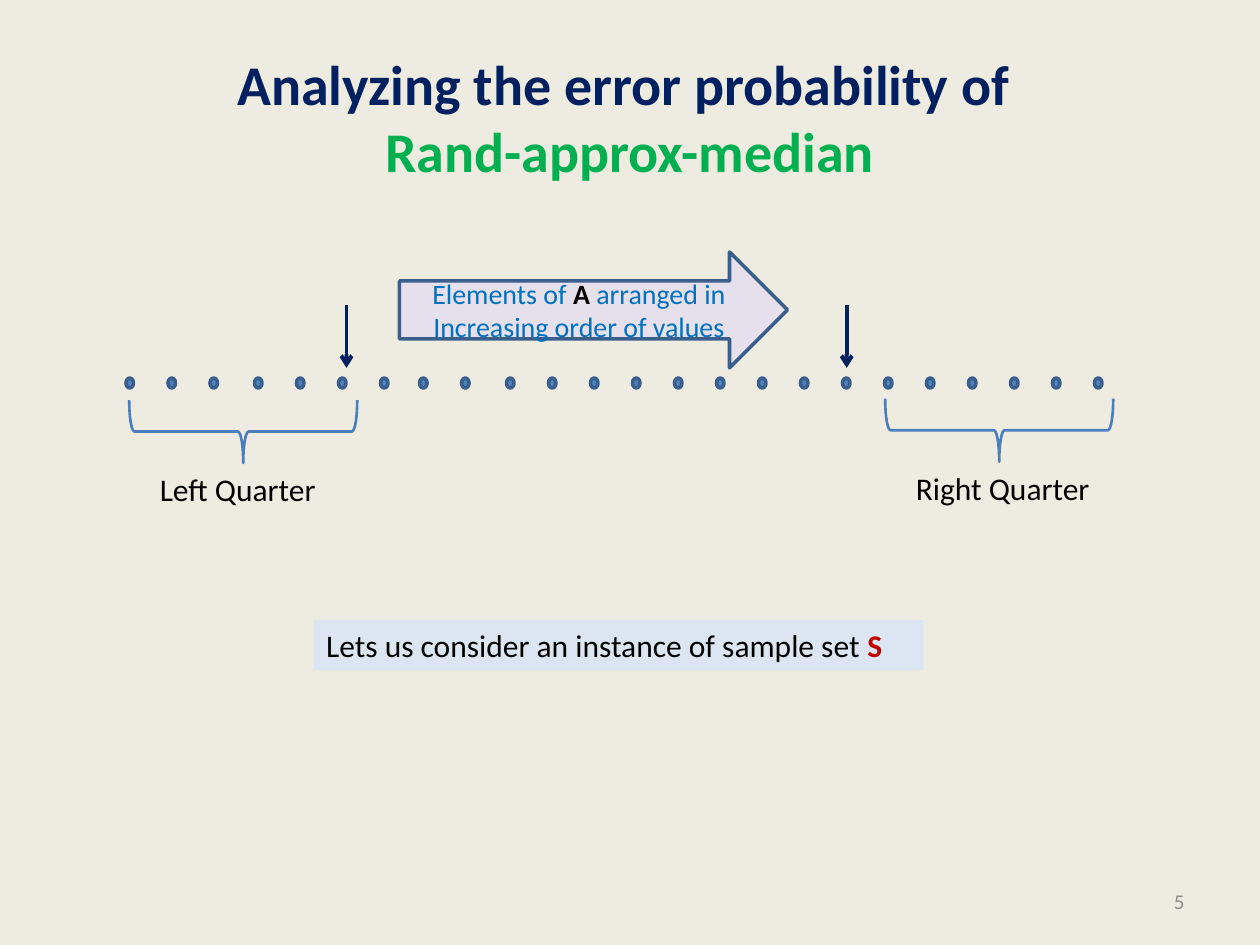
from dataclasses import dataclass
from typing import Any

from lxml import etree
from pptx import Presentation
from pptx import util as u
from pptx.dml.color import RGBColor
from pptx.enum import shapes, text
from pptx.oxml import ns

SHAPE = shapes.MSO_SHAPE
ALIGN = text.PP_ALIGN
MIDDLE = text.MSO_ANCHOR.MIDDLE


def colour(value):
    return RGBColor.from_string(value)


def inches(*values):
    return [u.Inches(value) for value in values]


@dataclass
class Painter:
    """Draws styled elements on the current slide."""

    page: Any
    font: str = "Calibri"
    ink: str = "000000"
    navy: str = "002060"
    blue: str = "4F81BD"
    outline: str = "3A5F8C"

    def background(self, fill):
        self.page.background.fill.solid()
        self.page.background.fill.fore_color.rgb = colour(fill)

    def add_text(self, box, lines, size, align=ALIGN.LEFT, anchor=text.MSO_ANCHOR.TOP, wrap=True):
        frame = box.text_frame
        frame.word_wrap = wrap
        frame.vertical_anchor = anchor
        para = frame.paragraphs[0]
        para.alignment = align
        for number, line in enumerate(lines):
            if number:
                para.add_line_break()
            for words, tint, bold in line:
                span = para.add_run()
                span.text = words
                span.font.name = self.font
                span.font.size = u.Pt(size)
                span.font.bold = bold
                span.font.color.rgb = colour(tint)

    def label(self, at, lines, size, **layout):
        box = self.page.shapes.add_textbox(*inches(*at))
        self.add_text(box, lines, size, **layout)

    def shape(self, kind, at, fill=None, line=None, width=2):
        box = self.page.shapes.add_shape(kind, *inches(*at))
        box.shadow.inherit = False
        if fill:
            box.fill.solid()
            box.fill.fore_color.rgb = colour(fill)
        else:
            box.fill.background()
        if line:
            box.line.color.rgb = colour(line)
            box.line.width = u.Pt(width)
        else:
            box.line.fill.background()
        return box

    def dot(self, left, top):
        self.shape(SHAPE.OVAL, (left, top, 0.06, 0.08), self.blue, self.outline)

    def pointer(self, x, top, bottom):
        arrow = self.page.shapes.add_connector(
            shapes.MSO_CONNECTOR.STRAIGHT, *inches(x, top, x, bottom))
        arrow.line.color.rgb = colour(self.navy)
        arrow.line.width = u.Pt(2.25)
        properties = arrow._element.spPr
        etree.SubElement(properties.find(ns.qn("a:ln")), ns.qn("a:tailEnd"), type="arrow")
        etree.SubElement(properties, ns.qn("a:effectLst"))

    def quarter(self, left, top, width, words):
        brace = self.shape(SHAPE.RIGHT_BRACE, (left + 0.51, top - 1.16, 0.5, 1.81),
                           line="4B7EBC", width=1.5)
        brace.rotation = 90
        self.label((left, top, width, 0.4), [[(words, self.ink, False)]], 18, wrap=False)


def main():
    deck = Presentation()
    deck.slide_width, deck.slide_height = inches(10, 7.5)
    painter = Painter(deck.slides.add_slide(deck.slide_layouts[6]))
    painter.background("EEECE1")

    painter.label((0.5, 0.3, 9, 1.25), [
        [("Analyzing the error probability of ", painter.navy, True)],
        [("Rand-approx-median", "00B050", True)],
    ], 32, align=ALIGN.CENTER, anchor=MIDDLE)
    painter.label((7.17, 6.95, 2.33, 0.4), [[("5", "8C8C8C", False)]], 12,
                  align=ALIGN.RIGHT, anchor=MIDDLE)

    for start, count in ((1, 3), (2.02, 4), (3.33, 2), (4.02, 15)):
        for step in range(count):
            painter.dot(start + step / 3, 3)

    for x in (2.75, 6.72):
        painter.pointer(x, 2.42, 2.92)

    painter.quarter(7.17, 3.67, 1.6, "Right Quarter")
    painter.quarter(1.17, 3.68, 1.46, "Left Quarter")

    order = painter.shape(SHAPE.RIGHT_ARROW, (3.17, 2, 3.08, 0.92), "E6E0EC", painter.outline)
    painter.add_text(order, [[
        ("Elements of ", "0070C0", False),
        ("A", painter.ink, True),
        (" arranged in Increasing order of values", "0070C0", False),
    ]], 16, align=ALIGN.CENTER, anchor=MIDDLE)

    sample = painter.shape(SHAPE.RECTANGLE, (2.49, 4.92, 4.84, 0.4), "DCE6F2")
    painter.add_text(sample, [[
        ("Lets us consider an instance of sample set ", painter.ink, False),
        ("S", "C00000", True),
    ]], 18)

    deck.save("out.pptx")


if __name__ == "__main__":
    main()
